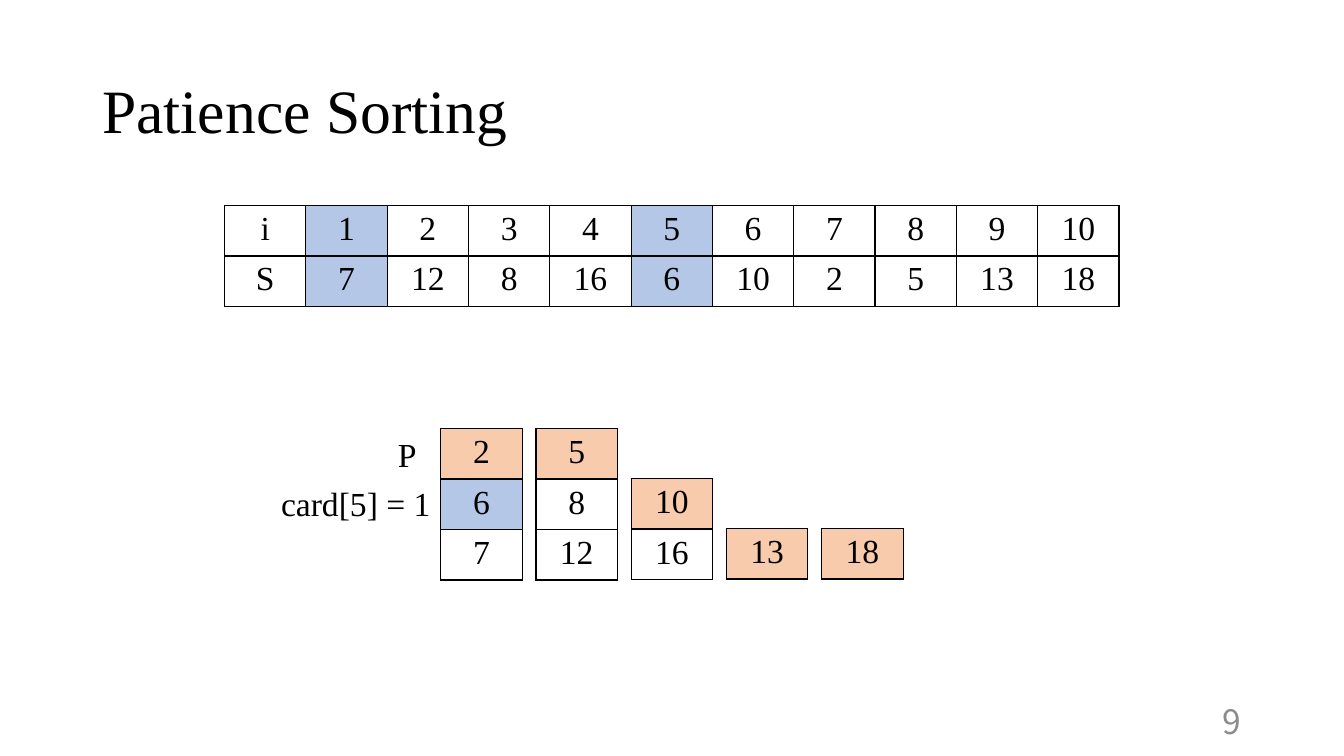
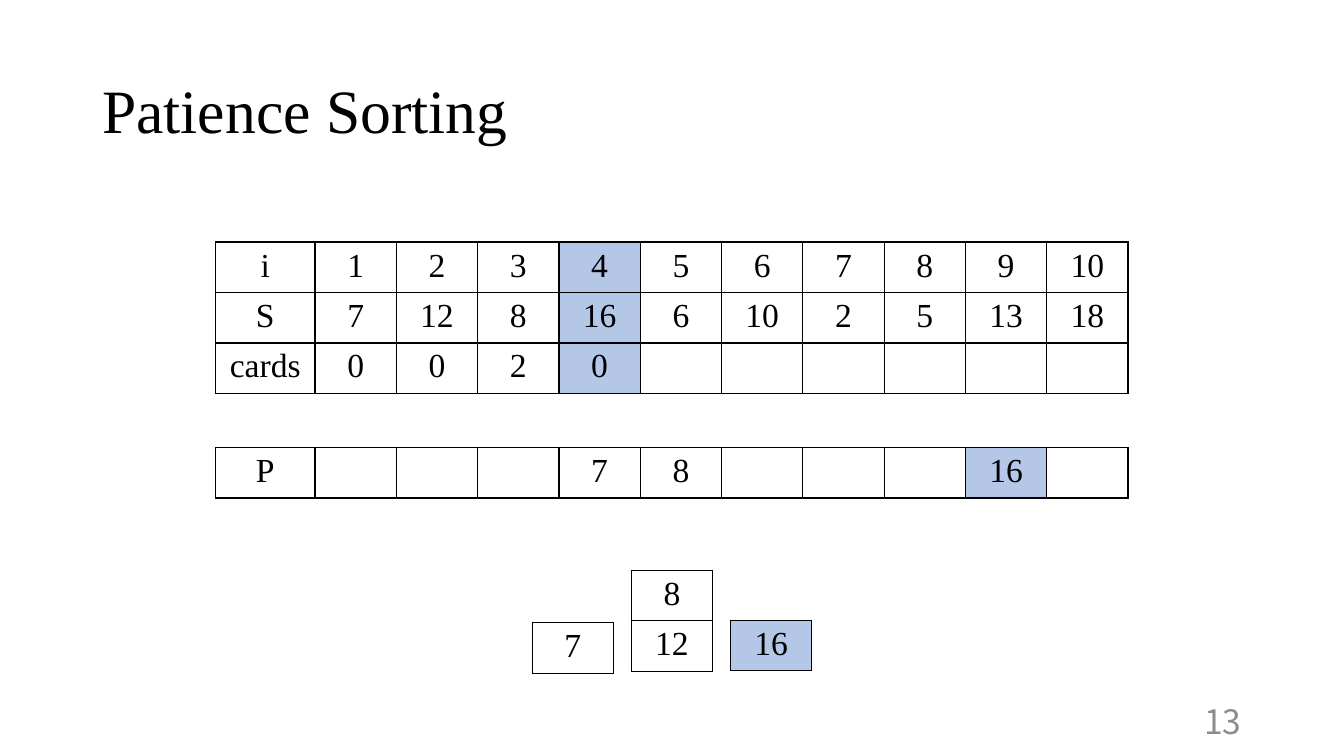
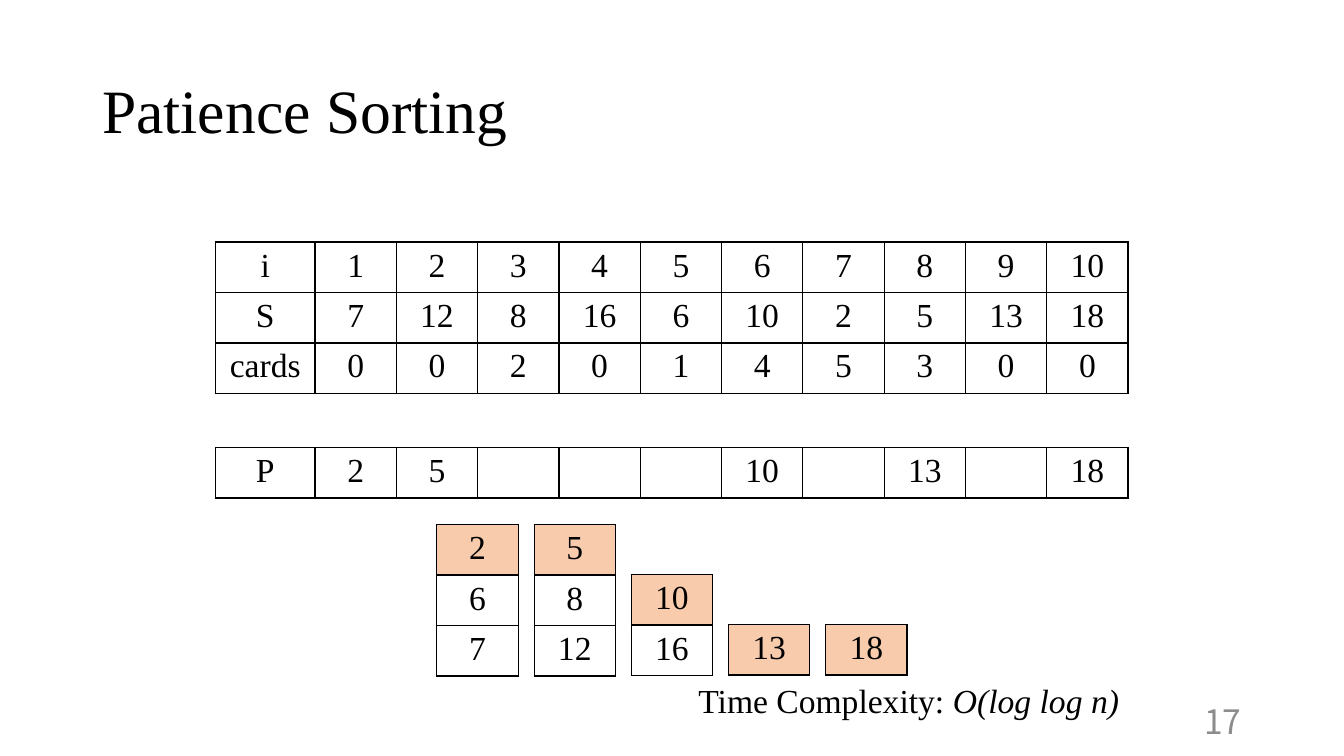
from dataclasses import dataclass

from pptx import Presentation
from pptx import util as u
from pptx.dml import color
from pptx.enum import text
from pptx.oxml import xmlchemy

COLOURS = {
    "ink": "000000",
    "paper": "FFFFFF",
    "number": "8C8C8C",
    "current": "B4C7E7",
    "top": "F8CBAD",
}
SERIF = "Times New Roman"
SANS = "Noto Sans CJK JP"
ALIGN = text.PP_ALIGN
ANCHOR = text.MSO_ANCHOR

SLIDE_WIDTH = 33.87
SLIDE_HEIGHT = 19.05
CARD_WIDTH = 2.05
ROW_HEIGHT = 1.19
PILE_STEP = 1.26
WIDE_LABEL = 2.51

INDEX = ("i", *range(1, 11))
SEQUENCE = ("S", 7, 12, 8, 16, 6, 10, 2, 5, 13, 18)
BLANK = ("",)


@dataclass(frozen=True)
class Grid:
    rows: tuple
    top: float
    label_width: float = WIDE_LABEL
    current: tuple = ()


@dataclass(frozen=True)
class Pile:
    cards: tuple
    fills: tuple = ()
    drop: float = 0


@dataclass(frozen=True)
class Label:
    phrases: tuple
    left: float
    top: float
    width: float


@dataclass(frozen=True)
class Step:
    number: int
    grids: tuple
    piles: tuple
    pitch: float
    base: float
    labels: tuple = ()


FINAL_PILES = (
    Pile((5, 8, 12), ("top",)),
    Pile((10, 16), ("top",)),
    Pile((13,), ("top",)),
    Pile((18,), ("top",)),
)

STEPS = (
    Step(
        number=9,
        grids=(Grid((INDEX, SEQUENCE), 5.18, CARD_WIDTH, (1, 5)),),
        piles=(Pile((2, 6, 7), ("top", "current")), *FINAL_PILES),
        pitch=2.4,
        base=14.58,
        labels=(
            Label(("P",), 9.73, 10.8, 1.02),
            Label(("card[5] = 1",), 6.68, 12.05, 4.42),
        ),
    ),
    Step(
        number=13,
        grids=(
            Grid((INDEX, SEQUENCE, ("cards", 0, 0, 2, 0, *BLANK * 6)), 6.1, current=(4,)),
            Grid((("P", *BLANK * 3, 7, 8, *BLANK * 3, 16, ""),), 11.28, current=(9,)),
        ),
        piles=(Pile((7,), drop=0.06), Pile((8, 12)), Pile((16,), ("current",))),
        pitch=2.5,
        base=16.89,
    ),
    Step(
        number=17,
        grids=(
            Grid((INDEX, SEQUENCE, ("cards", 0, 0, 2, 0, 1, 4, 5, 3, 0, 0)), 6.1),
            Grid((("P", 2, 5, *BLANK * 3, 10, "", 13, "", 18),), 11.28),
        ),
        piles=(Pile((2, 6, 7), ("top",)), *FINAL_PILES),
        pitch=2.45,
        base=17,
        labels=(Label(("Time Complexity: ", "O(log log n)"), 16.05, 17.02, 12.4),),
    ),
)


def rgb(name: str) -> color.RGBColor:
    return color.RGBColor.from_string(COLOURS[name])


def write(para, words: str, *, size: float = 24, font: str = SERIF, colour: str = "ink",
          align=ALIGN.CENTER, italic: bool = False, spacing: float = 1.0) -> None:
    para.alignment = align
    para.line_spacing = spacing
    span = para.add_run()
    span.text = words
    span.font.size = u.Pt(size)
    span.font.name = font
    span.font.italic = italic
    span.font.color.rgb = rgb(colour)


def add_box(page, left: float, top: float, width: float, height: float, anchor=ANCHOR.TOP):
    box = page.shapes.add_textbox(u.Cm(left), u.Cm(top), u.Cm(width), u.Cm(height))
    box.text_frame.word_wrap = True
    box.text_frame.vertical_anchor = anchor
    return box.text_frame.paragraphs[0]


def add_borders(cell) -> None:
    properties = cell._tc.get_or_add_tcPr()
    for side in ("lnL", "lnR", "lnT", "lnB"):
        line = xmlchemy.OxmlElement(f"a:{side}")
        line.set("w", str(u.Pt(1)))
        fill = xmlchemy.OxmlElement("a:solidFill")
        shade = xmlchemy.OxmlElement("a:srgbClr")
        shade.set("val", COLOURS["ink"])
        fill.append(shade)
        line.append(fill)
        properties.append(line)


def draw_table(page, rows: tuple, left: float, top: float, widths: list, fills: dict) -> None:
    frame = page.shapes.add_table(
        len(rows), len(widths), u.Cm(left), u.Cm(top),
        u.Cm(sum(widths)), u.Cm(ROW_HEIGHT * len(rows)))
    table = frame.table
    table.first_row = table.horz_banding = False
    for column, width in zip(table.columns, widths):
        column.width = u.Cm(width)
    for r, values in enumerate(rows):
        table.rows[r].height = u.Cm(ROW_HEIGHT)
        for c, value in enumerate(values):
            cell = table.cell(r, c)
            add_borders(cell)
            cell.fill.solid()
            cell.fill.fore_color.rgb = rgb(fills.get((r, c), "paper"))
            if value != "":
                write(cell.text_frame.paragraphs[0], str(value))


def draw_grid(page, grid: Grid) -> None:
    widths = [grid.label_width] + [CARD_WIDTH] * (len(grid.rows[0]) - 1)
    fills = {(r, c): "current" for r in range(len(grid.rows)) for c in grid.current}
    draw_table(page, grid.rows, (SLIDE_WIDTH - sum(widths)) / 2, grid.top, widths, fills)


def draw_piles(page, step: Step) -> None:
    first = (SLIDE_WIDTH - CARD_WIDTH - step.pitch * (len(step.piles) - 1)) / 2
    for position, pile in enumerate(step.piles):
        rows = tuple((card,) for card in pile.cards)
        top = step.base - PILE_STEP * len(rows) + pile.drop
        fills = {(r, 0): name for r, name in enumerate(pile.fills)}
        draw_table(page, rows, first + step.pitch * position, top, [CARD_WIDTH], fills)


def draw_label(page, label: Label) -> None:
    para = add_box(page, label.left, label.top, label.width, 1.27)
    for position, phrase in enumerate(label.phrases):
        write(para, phrase, align=ALIGN.RIGHT, italic=position > 0)


def draw_step(deck, step: Step) -> None:
    page = deck.slides.add_slide(deck.slide_layouts[6])
    title = add_box(page, 2.33, 1.01, 29.21, 3.68, ANCHOR.MIDDLE)
    write(title, "Patience Sorting", size=44, align=ALIGN.LEFT, spacing=0.9)
    number = add_box(page, 23.92, 17.66, 7.62, 1.01, ANCHOR.MIDDLE)
    write(number, str(step.number), font=SANS, colour="number", align=ALIGN.RIGHT)
    for grid in step.grids:
        draw_grid(page, grid)
    draw_piles(page, step)
    for label in step.labels:
        draw_label(page, label)


def main() -> None:
    deck = Presentation()
    deck.slide_width = u.Cm(SLIDE_WIDTH)
    deck.slide_height = u.Cm(SLIDE_HEIGHT)
    for step in STEPS:
        draw_step(deck, step)
    deck.save("out.pptx")


if __name__ == "__main__":
    main()
